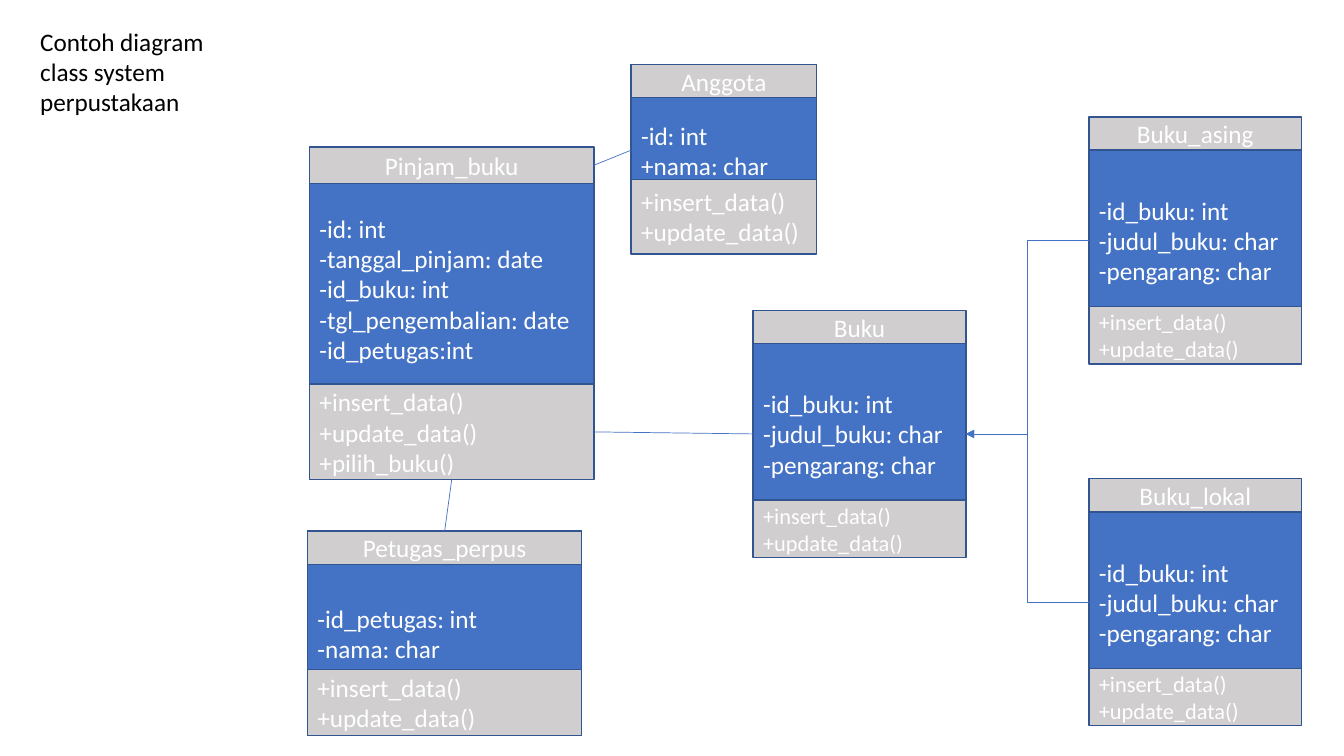
from pptx import Presentation
from pptx.dml.color import RGBColor
from pptx.enum.shapes import MSO_CONNECTOR as CONN, MSO_SHAPE as SHAPE
from pptx.enum.text import MSO_ANCHOR as ANCHOR, PP_ALIGN as ALIGN
from pptx.oxml.ns import qn
from pptx.util import Inches, Pt
from lxml import etree

BLUE, GREY, EDGE, WHITE = "4472C4", "D0CECE", "325491", "FFFFFF"


def rgb(value):
    """Turn a hex string into a colour."""
    return RGBColor.from_string(value)


def write(sp, lines, size=18, color=WHITE, align=ALIGN.LEFT, anchor=ANCHOR.MIDDLE):
    """Fill a shape with one paragraph per line."""
    tf = sp.text_frame
    tf.word_wrap = True
    tf.vertical_anchor = anchor
    for i, line in enumerate(lines):
        p = tf.add_paragraph() if i else tf.paragraphs[0]
        p.alignment = align
        r = p.add_run()
        r.text = line
        r.font.name, r.font.size = "Calibri", Pt(size)
        r.font.color.rgb = rgb(color)


prs = Presentation()
prs.slide_width, prs.slide_height = Inches(13.33), Inches(7.5)
s = prs.slides.add_slide(prs.slide_layouts[6])

book = ["-id_buku: int", "-judul_buku: char", "-pengarang: char"]
loan = ["-id: int", "-tanggal_pinjam: date", "-id_buku: int",
        "-tgl_pengembalian: date", "-id_petugas:int"]
edits = ["+insert_data()", "+update_data()"]

# name, left, width, (top, height) of title, body and methods, attributes, methods, method size
classes = [
    ("Anggota", 6.26, 1.84, (0.64, 0.33), (0.64, 1.7), (1.78, 0.74),
     ["-id: int", "+nama: char"], edits, 18),
    ("Pinjam_buku", 3.07, 2.82, (1.46, 0.36), (1.51, 3.01), (3.81, 0.95),
     loan, edits + ["+pilih_buku()"], 18),
    ("Petugas_perpus", 3.05, 2.72, (5.27, 0.33), (5.27, 2.03), (6.64, 0.66),
     ["-id_petugas: int", "-nama: char"], edits, 18),
]
for name, left, top in [("Buku", 7.47, 3.08), ("Buku_lokal", 10.8, 4.75),
                        ("Buku_asing", 10.8, 1.16)]:
    classes.append((name, left, 2.11, (top, 0.33), (top + 0.01, 2.43),
                    (top + 1.88, 0.57), book, edits, 16))

boxes = {}
for name, left, width, title, body, methods, attributes, operations, size in classes:
    parts = [
        ("body", SHAPE.RECTANGLE, body, BLUE, attributes, 18, ALIGN.LEFT),
        ("title", SHAPE.ROUNDED_RECTANGLE, title, GREY, [name], 18, ALIGN.CENTER),
        ("methods", SHAPE.ROUNDED_RECTANGLE, methods, GREY, operations, size, ALIGN.LEFT),
    ]
    for part, kind, (top, height), fill, lines, points, align in parts:
        sp = s.shapes.add_shape(kind, Inches(left), Inches(top), Inches(width), Inches(height))
        if kind == SHAPE.ROUNDED_RECTANGLE:
            sp.adjustments[0] = 0
        sp.shadow.inherit = False
        sp.fill.solid()
        sp.fill.fore_color.rgb = rgb(fill)
        sp.line.color.rgb = rgb(EDGE)
        sp.line.width = Pt(1)
        write(sp, lines, size=points, align=align)
        boxes[name, part] = sp

# Lift the loan attributes clear of the methods box
boxes["Pinjam_buku", "body"].text_frame.margin_bottom = Inches(0.35)

# Connection sites of a box
TOP, LEFT, BOTTOM, RIGHT = range(4)
links = [
    (CONN.ELBOW, ("Buku_asing", "body"), LEFT, ("Buku", "body"), RIGHT),
    (CONN.ELBOW, ("Buku_lokal", "body"), LEFT, ("Buku", "body"), RIGHT),
    (CONN.STRAIGHT, ("Buku", "body"), LEFT, ("Pinjam_buku", "methods"), RIGHT),
    (CONN.STRAIGHT, ("Petugas_perpus", "title"), TOP, ("Pinjam_buku", "methods"), BOTTOM),
    (CONN.STRAIGHT, ("Anggota", "body"), LEFT, ("Pinjam_buku", "title"), RIGHT),
]
for kind, start, start_site, end, end_site in links:
    link = s.shapes.add_connector(kind, 0, 0, 0, 0)
    link.begin_connect(boxes[start], start_site)
    link.end_connect(boxes[end], end_site)
    link.line.color.rgb = rgb(BLUE)
    link.line.width = Pt(0.5)
    if kind == CONN.ELBOW:
        etree.SubElement(link.line._get_or_add_ln(), qn("a:tailEnd"), type="triangle")
    etree.SubElement(link._element.spPr, qn("a:effectLst"))

caption = s.shapes.add_textbox(Inches(0.3), Inches(0.21), Inches(1.83), Inches(1.01))
write(caption, ["Contoh diagram class system perpustakaan"], color="000000", anchor=ANCHOR.TOP)

prs.save("out.pptx")
